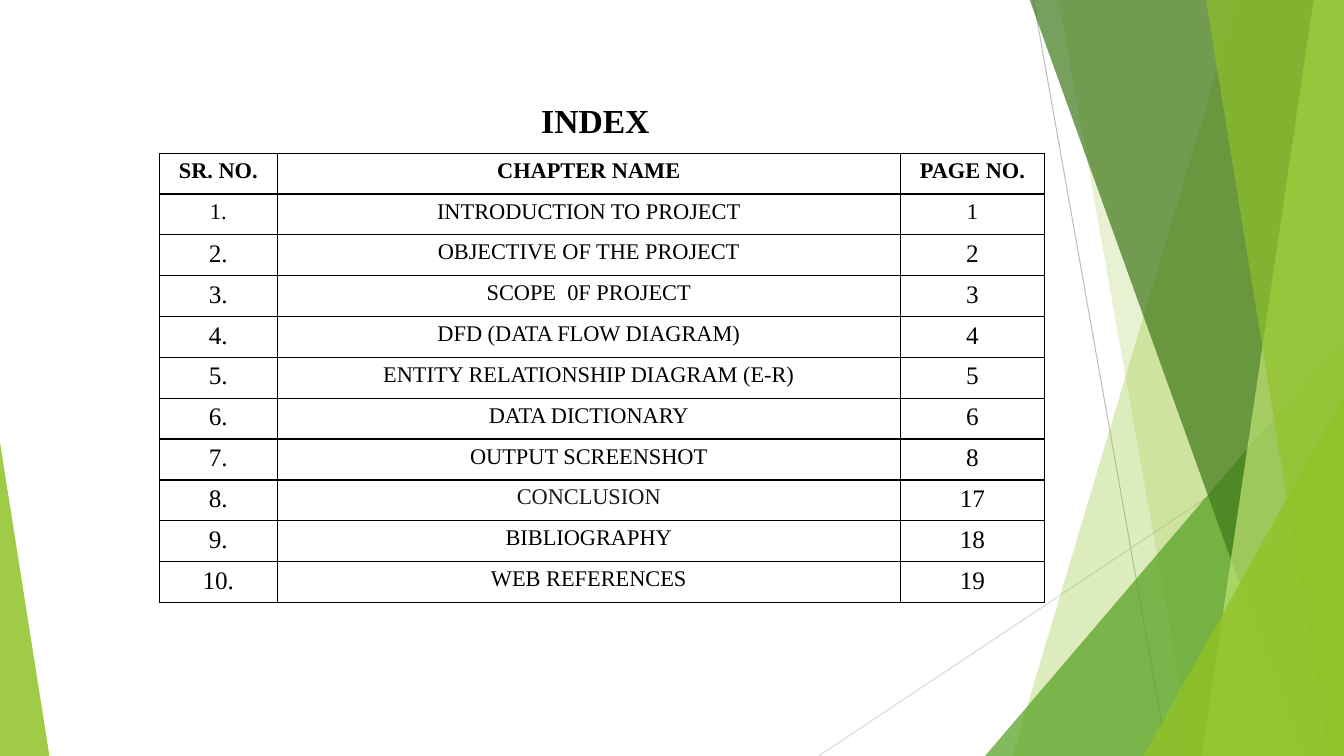
from dataclasses import dataclass

from lxml.etree import SubElement
from pptx import Presentation
from pptx.dml.color import RGBColor as Rgb
from pptx.dml.fill import FillFormat as Fill
from pptx.enum.shapes import MSO_CONNECTOR as Link, MSO_SHAPE as Kind
from pptx.enum.text import MSO_ANCHOR as Anchor, MSO_AUTO_SIZE as Fit, PP_ALIGN as Align
from pptx.oxml import parse_xml
from pptx.oxml.ns import nsdecls, qn
from pptx.slide import Slide
from pptx.util import Emu, Pt

SCALE = 9144
WIDE, HIGH = 1333, 750
FACE = "Times New Roman"
BLACK = "000000"


@dataclass
class Ray:
    x1: int
    y1: int
    x2: int
    y2: int
    hue: str


@dataclass
class Band:
    top: int
    foot: int
    hue: str
    alpha: int


@dataclass
class Wedge:
    left: int
    top: int
    width: int
    peak: int
    hue: str
    alpha: int


@dataclass
class Entry:
    number: str
    name: str
    page: str
    size: int = 18
    bold: bool = False
    hue: str = BLACK


RAYS = [
    Ray(1025, 0, 1158, HIGH, "BFBFBF"),
    Ray(WIDE, 403, 812, HIGH, "D9D9D9"),
]
FACETS = [
    Band(1228, 1004, "90C226", 30),
    Band(1050, 1183, "90C226", 20),
    Wedge(977, 333, 356, 1, "54A021", 72),
    Band(1021, 1291, "3F7819", 70),
    Band(1303, 1192, "C0E474", 70),
    Band(1196, 1318, "90C226", 65),
    Wedge(1134, 393, 199, 1, "90C226", 80),
    Wedge(0, 439, 49, 0, "90C226", 85),
]
COLUMNS = [117, 618, 143]
ENTRIES = [
    Entry("SR. NO.", "CHAPTER NAME", "PAGE NO.", 16, True),
    Entry("1.", "INTRODUCTION TO PROJECT", "1", 16),
    Entry("2.", "OBJECTIVE OF THE PROJECT", "2"),
    Entry("3.", "SCOPE  0F PROJECT", "3"),
    Entry("4.", "DFD (DATA FLOW DIAGRAM)", "4"),
    Entry("5.", "ENTITY RELATIONSHIP DIAGRAM (E-R)", "5"),
    Entry("6.", "DATA DICTIONARY", "6"),
    Entry("7.", "OUTPUT SCREENSHOT", "8"),
    Entry("8.", "CONCLUSION", "17", hue="181818"),
    Entry("9.", "BIBLIOGRAPHY", "18"),
    Entry("10.", "WEB REFERENCES", "19"),
]


def px(count: int) -> Emu:
    return Emu(count * SCALE)


def paint(fill: Fill, hue: str, alpha: int = 100) -> None:
    fill.solid()
    fill.fore_color.rgb = Rgb.from_string(hue)
    if alpha < 100:
        node = fill._xPr.find(".//" + qn("a:srgbClr"))
        SubElement(node, qn("a:alpha")).set("val", str(alpha * 1000))


def write(frame, text: str, size: int, bold: bool, hue: str) -> None:
    frame.text = text
    line = frame.paragraphs[0]
    line.alignment = Align.CENTER
    line.font.name = FACE
    line.font.size = Pt(size)
    line.font.bold = bold
    paint(line.font.fill, hue)


def add_ray(slide: Slide, ray: Ray) -> None:
    ends = map(px, (ray.x1, ray.y1, ray.x2, ray.y2))
    line = slide.shapes.add_connector(Link.STRAIGHT, *ends)
    line.line.width = Pt(0.75)
    paint(line.line.fill, ray.hue)
    SubElement(line._element.spPr, qn("a:effectLst"))


def add_facet(slide: Slide, facet: Band | Wedge) -> None:
    if isinstance(facet, Band):
        path = slide.shapes.build_freeform(facet.top, -1, scale=SCALE)
        path.add_line_segments([(WIDE, -1), (WIDE, HIGH), (facet.foot, HIGH)])
        shape = path.convert_to_shape()
    else:
        box = map(px, (facet.left, facet.top, facet.width, HIGH - facet.top))
        shape = slide.shapes.add_shape(Kind.ISOSCELES_TRIANGLE, *box)
        shape.adjustments[0] = facet.peak
    shape.shadow.inherit = False
    shape.line.fill.background()
    paint(shape.fill, facet.hue, facet.alpha)


def add_title(slide: Slide) -> None:
    title = slide.shapes.title
    title.left, title.top, title.width, title.height = map(px, (264, 92, 667, 50))
    frame = title.text_frame
    frame.auto_size = Fit.NONE
    frame.vertical_anchor = Anchor.MIDDLE
    frame.margin_left, frame.margin_right = px(0), px(14)
    frame.margin_top, frame.margin_bottom = px(4), px(0)
    write(frame, "INDEX", 24, True, BLACK)


def edge(cell) -> None:
    props = cell._tc.get_or_add_tcPr()
    for spot, side in enumerate("LRTB"):
        props.insert(spot, parse_xml(
            f'<a:ln{side} {nsdecls("a")} w="12700"><a:solidFill>'
            f'<a:srgbClr val="{BLACK}"/></a:solidFill></a:ln{side}>'))


def add_index(slide: Slide) -> None:
    box = map(px, (158, 152, sum(COLUMNS), 446))
    table = slide.shapes.add_table(len(ENTRIES), len(COLUMNS), *box).table
    table.horz_banding = False
    for column, width in zip(table.columns, COLUMNS):
        column.width = px(width)
    for row, item in zip(table.rows, ENTRIES):
        looks = [
            (item.number, item.size, BLACK),
            (item.name, 16, item.hue),
            (item.page, item.size, BLACK),
        ]
        for cell, (text, size, hue) in zip(row.cells, looks):
            write(cell.text_frame, text, size, item.bold, hue)
            cell.fill.background()
            edge(cell)


def main() -> None:
    deck = Presentation()
    deck.slide_width, deck.slide_height = px(WIDE), px(HIGH)
    slide = deck.slides.add_slide(deck.slide_layouts.get_by_name("Title Only"))
    for ray in RAYS:
        add_ray(slide, ray)
    for facet in FACETS:
        add_facet(slide, facet)
    add_title(slide)
    add_index(slide)
    deck.save("out.pptx")


if __name__ == "__main__":
    main()
